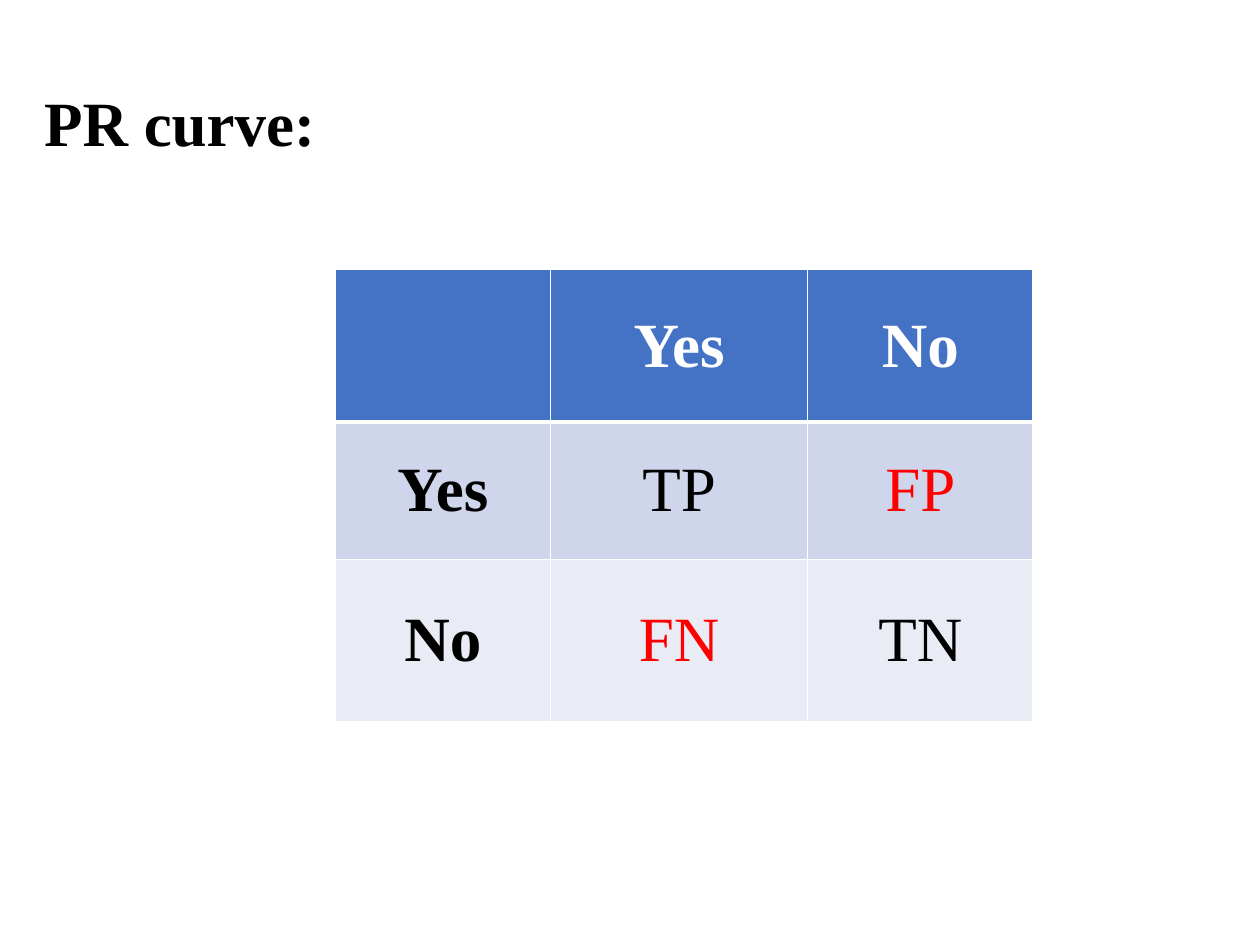
from lxml import etree
from pptx import Presentation
from pptx import util as u
from pptx.dml import color
from pptx.enum import text
from pptx.oxml import ns

COLORS = {
    "ink": "000000", "white": "FFFFFF", "error": "FF0000",
    "header": "4472C4", "band1": "CFD5EA", "band2": "E9EBF5",
}
FONT = "Times New Roman"
GRID_COLS, GRID_ROWS = 100, 75


class Deck:
    def __init__(self, width, height):
        self.prs = Presentation()
        self.prs.slide_width, self.prs.slide_height = u.Inches(width), u.Inches(height)
        self.s = self.prs.slides.add_slide(self.prs.slide_layouts[5])

    def x(self, cols):
        return round(self.prs.slide_width * cols / GRID_COLS)

    def y(self, rows):
        return round(self.prs.slide_height * rows / GRID_ROWS)

    def box(self, left, top, width, height):
        return self.x(left), self.y(top), self.x(width), self.y(height)

    def label(self, tf, words, fill, bold, align):
        p = tf.paragraphs[0]
        p.text = words
        p.alignment = align
        for r in p.runs:
            r.font.name, r.font.size, r.font.bold = FONT, u.Pt(36), bold
            r.font.color.rgb = color.RGBColor.from_string(COLORS[fill])
        return p

    def title(self, words, *area):
        sp = self.s.shapes.title
        sp.left, sp.top, sp.width, sp.height = self.box(*area)
        tf = sp.text_frame
        tf.vertical_anchor = text.MSO_ANCHOR.MIDDLE
        p = self.label(tf, words, "ink", True, text.PP_ALIGN.LEFT)
        p.line_spacing = 0.9

    def borders(self, cell, **widths):
        tc_pr = cell._tc.get_or_add_tcPr()
        for side in "LRTB":
            ln = etree.SubElement(tc_pr, ns.qn(f"a:ln{side}"), w=str(u.Pt(widths.get(side, 1))))
            fill = etree.SubElement(ln, ns.qn("a:solidFill"))
            etree.SubElement(fill, ns.qn("a:srgbClr"), val=COLORS["white"])

    def matrix(self, data, left, top, widths, heights):
        area = self.box(left, top, sum(widths), sum(heights))
        table = self.s.shapes.add_table(len(data), len(data[0]), *area).table
        for col, width in zip(table.columns, widths):
            col.width = self.x(width)
        for row, height in zip(table.rows, heights):
            row.height = self.y(height)
        for i, line in enumerate(data):
            for j, words in enumerate(line):
                cell = table.cell(i, j)
                self.borders(cell, **({"B": 3} if i == 0 else {"T": 3} if i == 1 else {}))
                cell.fill.solid()
                band = ("header", "band1", "band2")[i]
                cell.fill.fore_color.rgb = color.RGBColor.from_string(COLORS[band])
                cell.vertical_anchor = text.MSO_ANCHOR.MIDDLE
                if i and j == 2:
                    cell.margin_left = cell.margin_right = u.Inches(0.03)
                    cell.margin_top = cell.margin_bottom = u.Inches(0.01)
                ink = "white" if i == 0 else "error" if words in ("FP", "FN") else "ink"
                self.label(cell.text_frame, words, ink, i == 0 or j == 0, text.PP_ALIGN.CENTER)


def main():
    deck = Deck(10, 7.5)
    deck.title("PR curve:", 2.5, 3.8, 96.4, 12.5)
    confusion = [["", "Yes", "No"], ["Yes", "TP", "FP"], ["No", "FN", "TN"]]
    deck.matrix(confusion, 26.6, 21.4, [17.1, 20.4, 17.9], [12.1, 10.9, 12.9])
    deck.prs.save("out.pptx")


if __name__ == "__main__":
    main()
